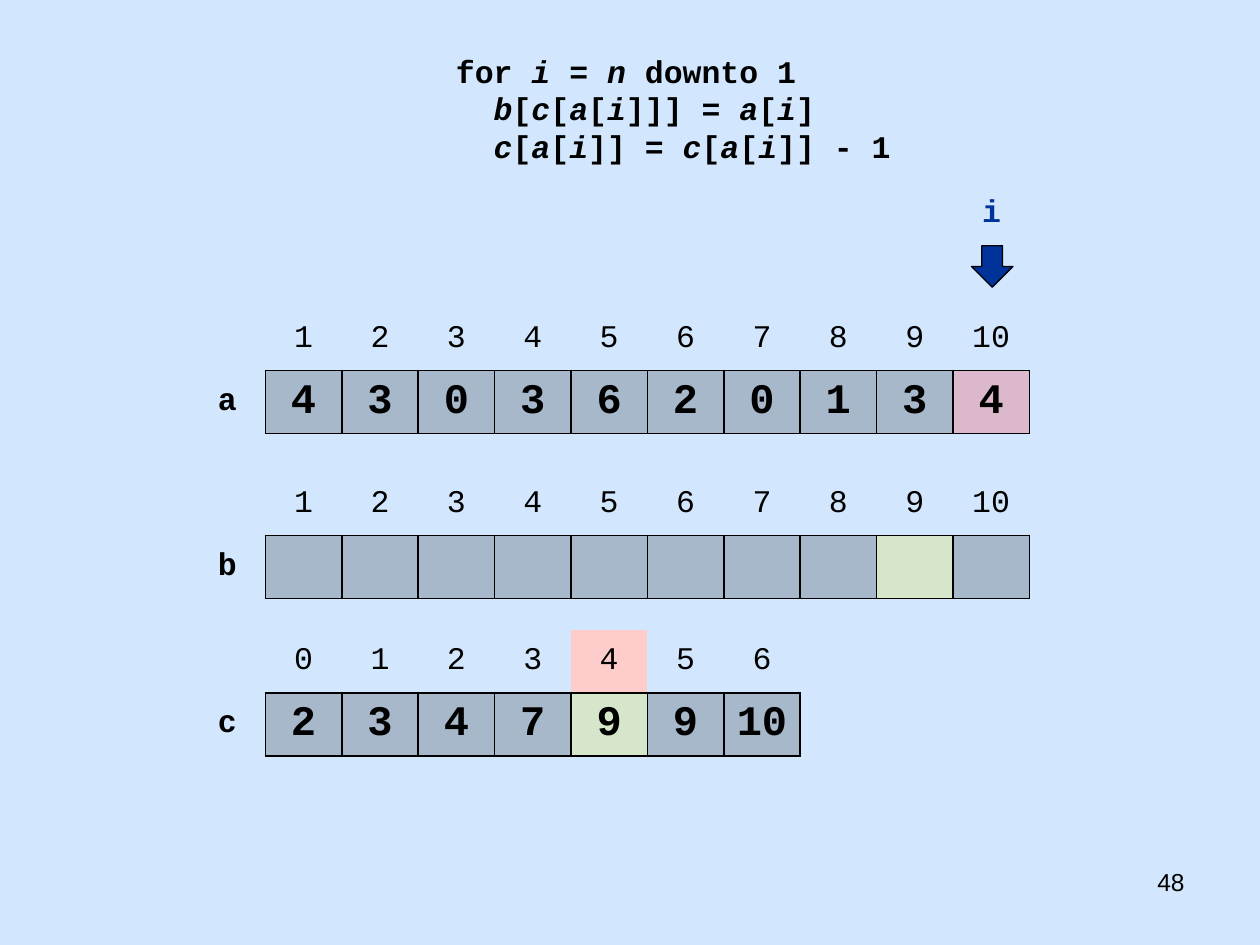
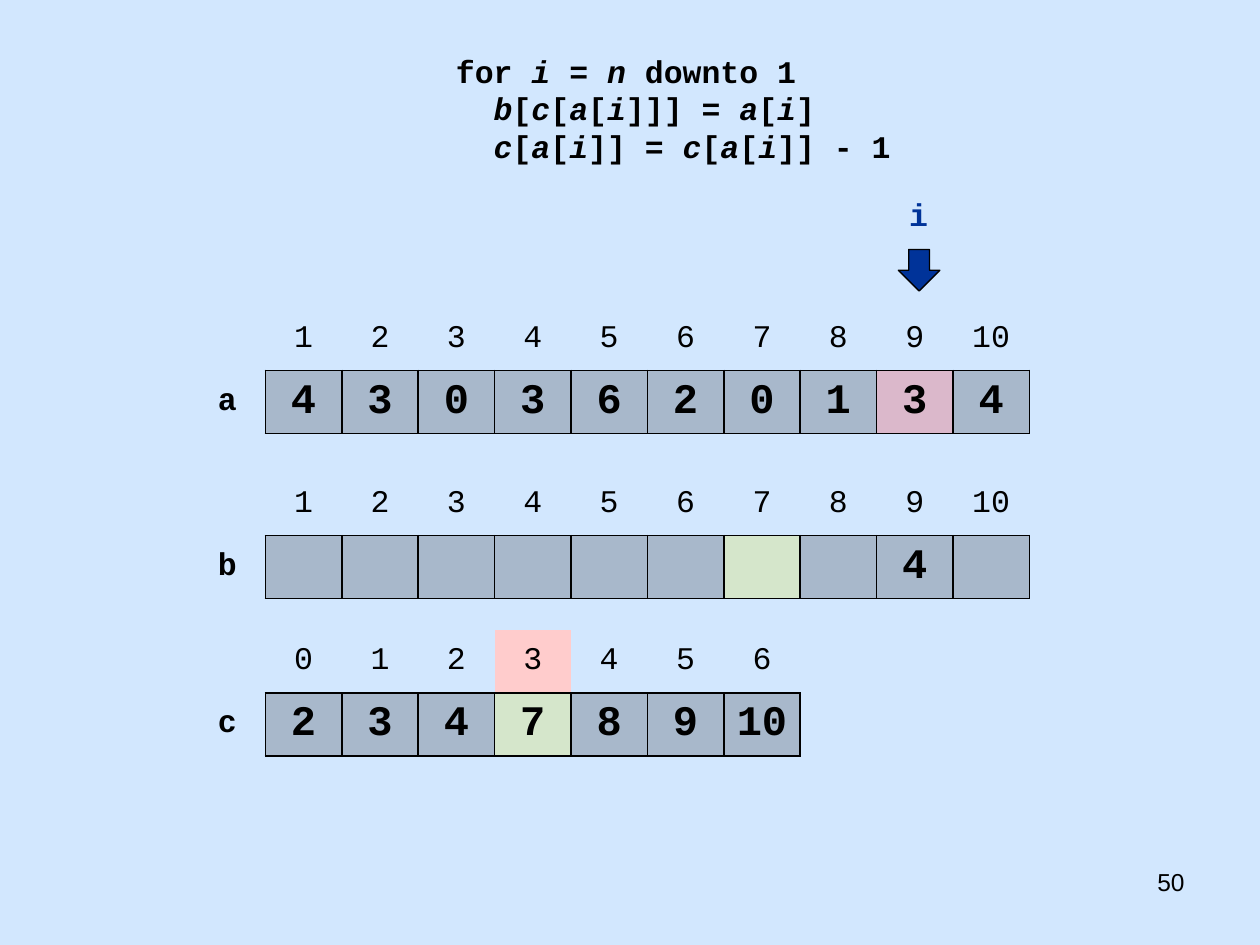
from lxml import etree
from pptx import Presentation
from pptx.dml.color import RGBColor
from pptx.enum.shapes import MSO_SHAPE
from pptx.enum.text import MSO_ANCHOR, PP_ALIGN
from pptx.oxml.ns import qn
from pptx.util import Inches, Pt

DOWN = MSO_SHAPE.DOWN_ARROW
MIDDLE = MSO_ANCHOR.MIDDLE
LEFT, CENTER, RIGHT = PP_ALIGN.LEFT, PP_ALIGN.CENTER, PP_ALIGN.RIGHT

SKY = RGBColor(0xD2, 0xE7, 0xFE)
BLACK = RGBColor(0, 0, 0)
EDGE = RGBColor(1, 0, 0)
NAVY = RGBColor(0, 0x33, 0x99)
RED = RGBColor(0xFF, 0, 0)
PINK = RGBColor(0xFF, 0xCC, 0xCC)
YELLOW = RGBColor(0xE5, 0xE5, 0)

CODE = {"name": "Courier New", "size": Pt(18), "bold": True, "color": BLACK}
INDEX = {**CODE, "bold": False}
VALUE = {**CODE, "size": Pt(24)}
MARK = {**CODE, "color": NAVY}
PAGE = {"name": "Arial", "size": Pt(14), "color": BLACK}

CELL_W = Inches(6.67) // 11
CELL_H = Inches(0.5)
NO_GRID = "{2D5ABB26-0587-4C30-8999-92F81FD0307C}"
LOOP = (
    " for *i* = *n* downto 1",
    "   *b*[*c*[*a*[*i*]]] = *a*[*i*]",
    "   *c*[*a*[*i*]] = *c*[*a*[*i*]] - 1",
)


def style(font, look):
    """Apply a dict of format values to a font."""
    for key, val in look.items():
        if key == "color":
            font.color.rgb = val
        else:
            setattr(font, key, val)


def write(frame, lines, look, align):
    """Write lines into a text frame, with starred parts in italics."""
    for num, line in enumerate(lines):
        para = frame.add_paragraph() if num else frame.paragraphs[0]
        para.alignment = align
        for part, text in enumerate(line.split("*")):
            if text:
                run = para.add_run()
                run.text = text
                style(run.font, look)
                if part % 2:
                    run.font.italic = True


def label(slide, box, lines, look, align=LEFT):
    """Add a wrapped text box."""
    frame = slide.shapes.add_textbox(*box).text_frame
    frame.word_wrap = True
    write(frame, lines, look, align)


def outline(cell):
    """Draw a thin black line on all four sides of a cell."""
    props = cell._tc.get_or_add_tcPr()
    for side in ("lnL", "lnR", "lnT", "lnB"):
        line = etree.SubElement(props, qn(f"a:{side}"), w=str(Pt(1)))
        fill = etree.SubElement(line, qn("a:solidFill"))
        etree.SubElement(fill, qn("a:srgbClr"), val=str(BLACK))


def paint(cell, color, alpha=None):
    """Fill a cell, with an opacity in percent if given."""
    cell.fill.solid()
    cell.fill.fore_color.rgb = color
    if alpha:
        tint = cell._tc.tcPr.find(qn("a:solidFill"))[0]
        etree.SubElement(tint, qn("a:alpha"), val=str(alpha * 1000))


def fill_cell(cell, text, look):
    """Centre a text in a cell that has no fill."""
    cell.fill.background()
    cell.vertical_anchor = MIDDLE
    write(cell.text_frame, [str(text)], look, CENTER)


def array(slide, left, top, name, vals, spot, tint, keys, key_tint=None):
    """Add a named array with its indexes above, marking one spot."""
    cols = len(vals) + 1
    table = slide.shapes.add_table(
        2, cols, left, top, CELL_W * cols, CELL_H * 2).table
    table.first_row = table.horz_banding = False
    table._tbl.tblPr.find(qn("a:tableStyleId")).text = NO_GRID
    for row in table.rows:
        row.height = CELL_H
    for col in table.columns:
        col.width = CELL_W
    fill_cell(table.cell(0, 0), "", INDEX)
    fill_cell(table.cell(1, 0), name, CODE)
    for col, (key, val) in enumerate(zip(keys, vals), 1):
        head, cell = table.cell(0, col), table.cell(1, col)
        fill_cell(head, key, INDEX)
        outline(cell)
        fill_cell(cell, val, VALUE)
        paint(cell, tint if key == spot else BLACK, 20)
        if key == spot and key_tint:
            paint(head, key_tint)


def pointer(slide, left, top):
    """Add the index letter with an arrow below it."""
    label(slide, (left, top, Inches(2.08), Inches(0.4)), ["i"], MARK, CENTER)
    size = Inches(0.33)
    arrow = slide.shapes.add_shape(
        DOWN, left + Inches(0.88), top + Inches(0.48), size, size)
    arrow.shadow.inherit = False
    arrow.fill.solid()
    arrow.fill.fore_color.rgb = NAVY
    arrow.line.color.rgb = EDGE
    arrow.line.width = Pt(0.75)


def step(deck, page, i, a, b, c, spot):
    """Add a slide that shows one step of the loop."""
    slide = deck.slides.add_slide(deck.slide_layouts[6])
    key = a[i - 1]
    left = Inches(1.5)
    places = range(1, len(a) + 1)
    label(slide, (Inches(7.17), Inches(6.83), Inches(2.33), Inches(0.52)),
          [str(page)], PAGE, RIGHT)
    label(slide, (Inches(3.37), Inches(0.36), Inches(4), Inches(1.01)),
          LOOP, CODE)
    array(slide, left, Inches(2.44), "a", a, i, RED, places)
    array(slide, left, Inches(3.75), "b", b, c[key], YELLOW, places)
    array(slide, left, Inches(5), "c", c, key, YELLOW, range(len(c)), PINK)
    pointer(slide, *spot)


def main():
    """Build the deck by running the loop."""
    deck = Presentation()
    deck.slide_width, deck.slide_height = Inches(10), Inches(7.5)
    back = deck.slide_master.background.fill
    back.solid()
    back.fore_color.rgb = SKY
    a = [4, 3, 0, 3, 6, 2, 0, 1, 3, 4]
    b = [""] * len(a)
    c = [2, 3, 4, 7, 9, 9, 10]
    steps = (
        (48, 10, (Inches(6.83), Inches(1.47))),
        (50, 9, (Inches(6.25), Inches(1.5))),
    )
    for page, i, spot in steps:
        step(deck, page, i, a, b, c, spot)
        key = a[i - 1]
        b[c[key] - 1] = key
        c[key] -= 1
    deck.save("out.pptx")


if __name__ == "__main__":
    main()
